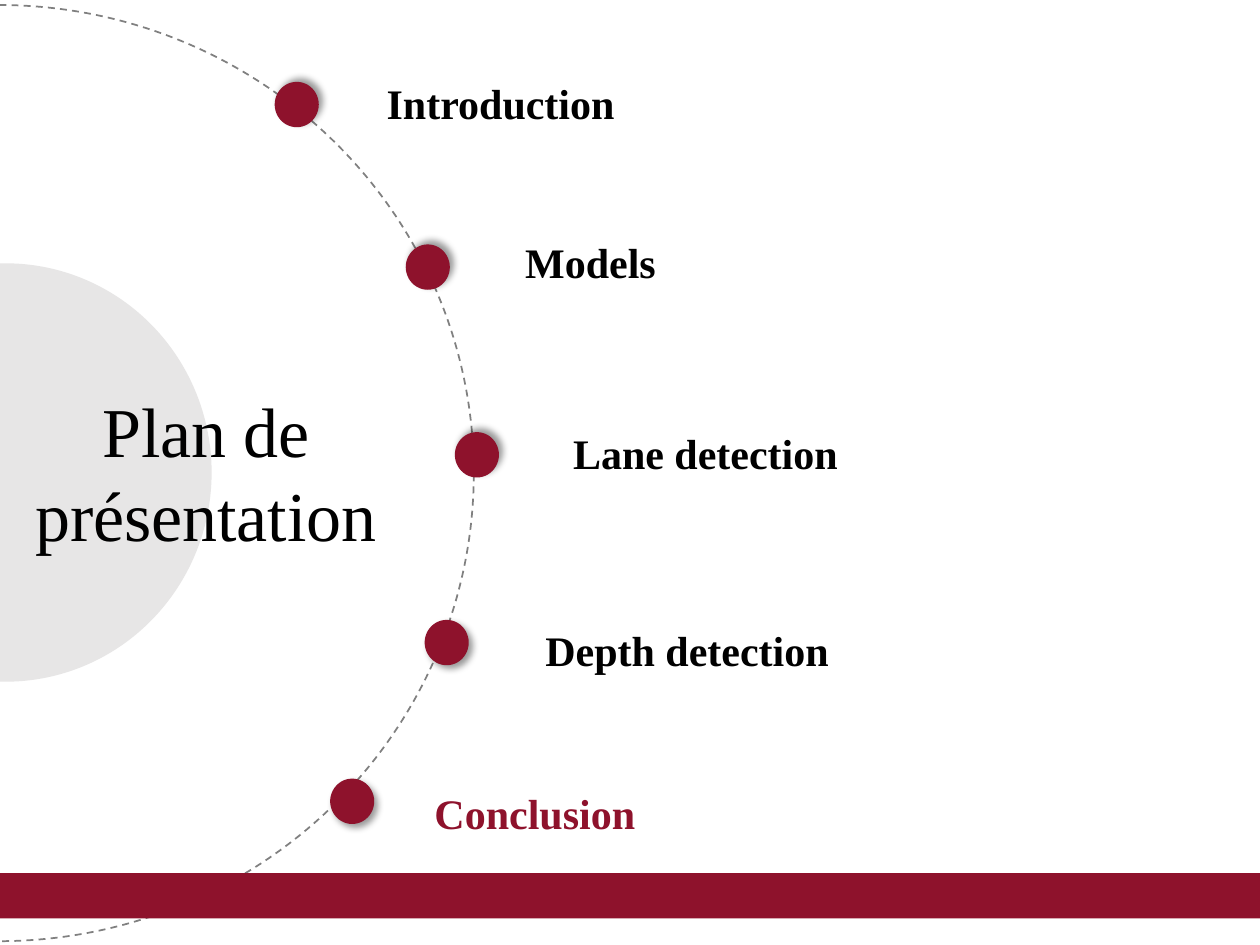
import lxml.etree
import pptx
import pptx.dml.color
import pptx.enum.dml
import pptx.enum.shapes
import pptx.enum.text
import pptx.oxml.ns
import pptx.util

Inches = pptx.util.Inches
Shape = pptx.enum.shapes.MSO_SHAPE
Align = pptx.enum.text.PP_ALIGN

COLORS = {"red": "8E122C", "pale": "E7E6E6", "gray": "808080", "black": "000000"}


def color(name):
    return pptx.dml.color.RGBColor.from_string(COLORS[name])


class Page:
    font = "Times New Roman"

    def __init__(self, slide):
        self.slide = slide

    def solid(self, kind, left, top, width, height, fill=None):
        """Add a flat shape with no outline; without a fill it is hollow."""
        shape = self.slide.shapes.add_shape(
            kind, Inches(left), Inches(top), Inches(width), Inches(height))
        shape.shadow.inherit = False
        shape.line.fill.background()
        if fill:
            shape.fill.solid()
            shape.fill.fore_color.rgb = color(fill)
        else:
            shape.fill.background()
        return shape

    def ring(self, left, top, width, height):
        """Add a hollow dashed ellipse."""
        line = self.solid(Shape.OVAL, left, top, width, height).line
        line.color.rgb = color("gray")
        line.width = pptx.util.Pt(1)
        line.dash_style = pptx.enum.dml.MSO_LINE.DASH

    def dot(self, left, top, angle):
        """Add a bullet whose shadow falls at the angle, in degrees."""
        shape = self.solid(Shape.OVAL, left, top, 0.35, 0.36, "red")
        qn = pptx.oxml.ns.qn
        effects = shape.element.spPr.find(qn("a:effectLst"))
        shadow = lxml.etree.SubElement(
            effects, qn("a:outerShdw"), blurRad=str(pptx.util.Pt(4)),
            dist=str(pptx.util.Pt(3)), dir=str(angle * 60000),
            algn="ctr", rotWithShape="0")
        tint = lxml.etree.SubElement(shadow, qn("a:srgbClr"), val=COLORS["black"])
        lxml.etree.SubElement(tint, qn("a:alpha"), val="40000")

    def text(self, words, left, top, width, height, size=24, bold=True,
             ink="black", align=Align.LEFT):
        box = self.slide.shapes.add_textbox(
            Inches(left), Inches(top), Inches(width), Inches(height))
        frame = box.text_frame
        frame.word_wrap = True
        frame.auto_size = pptx.enum.text.MSO_AUTO_SIZE.SHAPE_TO_FIT_TEXT
        para = frame.paragraphs[0]
        para.text = words
        para.alignment = align
        para.font.name = self.font
        para.font.size = pptx.util.Pt(size)
        para.font.bold = bold
        para.font.color.rgb = color(ink)


# Topic, dot left and top, shadow angle, label left and top, ink
TOPICS = [
    ("Introduction", 2.18, 0.65, 315, 2.97, 0.57, "black"),
    ("Models", 3.22, 1.94, 315, 4.07, 1.83, "black"),
    ("Lane detection", 3.61, 3.43, 315, 4.45, 3.34, "black"),
    ("Depth detection", 3.37, 4.92, 45, 4.23, 4.91, "black"),
    ("Conclusion", 2.62, 6.18, 45, 3.35, 6.2, "red"),
]


def main():
    deck = pptx.Presentation()
    deck.slide_width, deck.slide_height = Inches(10), Inches(7.5)
    page = Page(deck.slides.add_slide(deck.slide_layouts[6]))

    page.solid(Shape.OVAL, -1.59, 2.09, 3.27, 3.32, "pale")
    page.ring(-3.78, 0.04, 7.54, 7.43)
    for _, left, top, angle, *_ in TOPICS:
        page.dot(left, top, angle)
    page.solid(Shape.RECTANGLE, -0.02, 6.93, 10.02, 0.36, "red")

    page.text("Plan de présentation", 0, 3.03, 3.27, 1.45,
              size=40, bold=False, align=Align.CENTER)
    for words, _, _, _, left, top, ink in TOPICS:
        page.text(words, left, top, 3.5, 0.5, ink=ink)

    deck.save("out.pptx")


if __name__ == "__main__":
    main()
